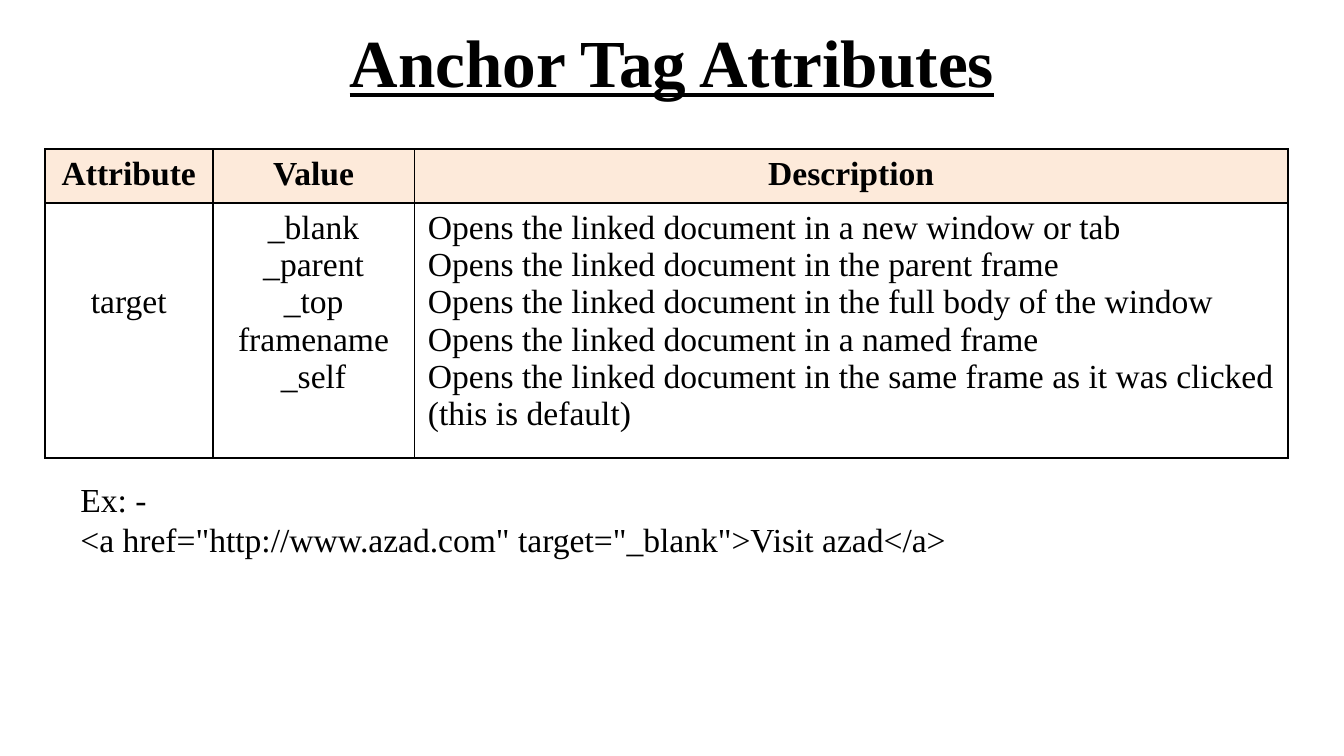
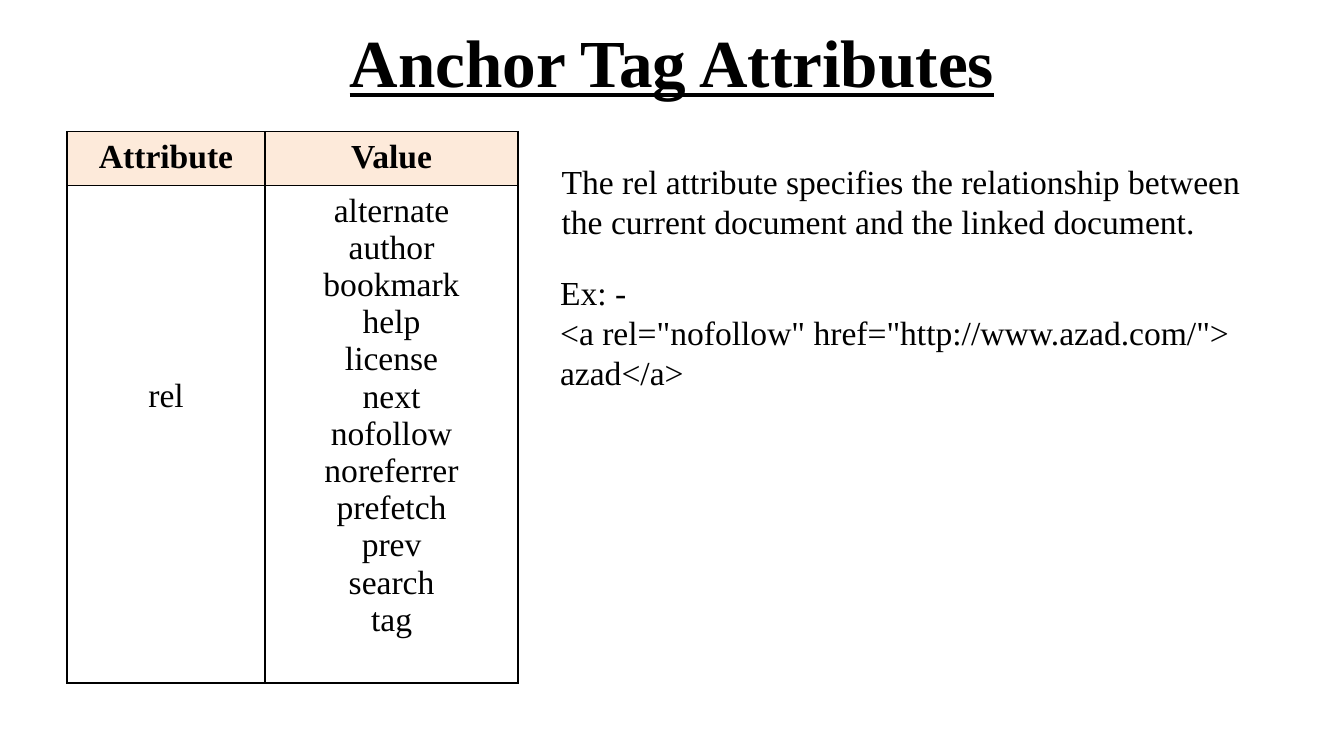
from lxml.etree import SubElement
from pptx import Presentation
from pptx.dml.color import RGBColor
from pptx.enum.text import MSO_ANCHOR as Anchor, PP_ALIGN as Align
from pptx.oxml.ns import qn
from pptx.util import Pt

FONT = "Times New Roman"
INK = "000000"
HEADER_FILL = "FDEADA"
BODY_SIZE = 18
TABLE_LINE = 19.9
CELL_MARGIN = 3.6


def color(value):
    return RGBColor.from_string(value)


def write(frame, text, size=BODY_SIZE, bold=False, underline=False,
          align=Align.LEFT, spacing=None):
    frame.word_wrap = True
    for index, line in enumerate(text.split("\n")):
        paragraph = frame.add_paragraph() if index else frame.paragraphs[0]
        paragraph.alignment = align
        if spacing:
            paragraph.line_spacing = Pt(spacing)
        run = paragraph.add_run()
        run.text = line
        font = run.font
        font.name, font.size = FONT, Pt(size)
        font.bold, font.underline = bold, underline
        font.color.rgb = color(INK)


def add_borders(cell):
    properties = cell._tc.get_or_add_tcPr()
    for side in ("a:lnL", "a:lnR", "a:lnT", "a:lnB"):
        line = SubElement(properties, qn(side), w=str(Pt(1)))
        SubElement(SubElement(line, qn("a:solidFill")), qn("a:srgbClr"), val=INK)


class Deck:
    """Holds the shared style and the slide being filled."""

    def __init__(self):
        self.presentation = Presentation()
        self.presentation.slide_width = Pt(720)
        self.presentation.slide_height = Pt(405)
        self.slide = None

    def start_slide(self, title):
        self.slide = self.presentation.slides.add_slide(
            self.presentation.slide_layouts[6])
        heading = self.text(title, 36, -1.4, 648, 67.5, size=36, bold=True,
                            underline=True, align=Align.CENTER)
        heading.vertical_anchor = Anchor.MIDDLE

    def text(self, content, left, top, width, height, **style):
        frame = self.slide.shapes.add_textbox(
            Pt(left), Pt(top), Pt(width), Pt(height)).text_frame
        write(frame, content, **style)
        return frame

    def passage(self, content, left, top, width):
        height = 7.2 + 21.9 * len(content.split("\n"))
        self.text(content, left, top, width, height, spacing=21.4)

    def table(self, headers, body, left, top, widths, lines, lines_above):
        heights = [2 * CELL_MARGIN + TABLE_LINE * count for count in (1, lines)]
        table = self.slide.shapes.add_table(
            2, len(headers), Pt(left), Pt(top), Pt(sum(widths)),
            Pt(sum(heights))).table
        table.horz_banding = False
        for column, width in zip(table.columns, widths):
            column.width = Pt(width)
        for row, height in zip(table.rows, heights):
            row.height = Pt(height)
        for column, (header, content) in enumerate(zip(headers, body)):
            header_cell, body_cell = table.cell(0, column), table.cell(1, column)
            for cell in (header_cell, body_cell):
                add_borders(cell)
            header_cell.fill.solid()
            header_cell.fill.fore_color.rgb = color(HEADER_FILL)
            body_cell.fill.background()
            write(header_cell.text_frame, header, bold=True, align=Align.CENTER)
            write(body_cell.text_frame, content,
                  align=Align.LEFT if header == "Description" else Align.CENTER)
        table.cell(1, 0).margin_top = Pt(CELL_MARGIN + TABLE_LINE * lines_above)


TITLE = "Anchor Tag Attributes"
TARGET_VALUES = "_blank\n_parent\n_top\nframename\n_self"
TARGET_DESCRIPTIONS = """Opens the linked document in a new window or tab
Opens the linked document in the parent frame
Opens the linked document in the full body of the window
Opens the linked document in a named frame
Opens the linked document in the same frame as it was clicked (this is default)"""
TARGET_EXAMPLE = """Ex: -
<a href="http://www.azad.com" target="_blank">Visit azad</a>"""
REL_VALUES = """alternate
author
bookmark
help
license
next
nofollow
noreferrer
prefetch
prev
search
tag"""
REL_MEANING = """The rel attribute specifies the relationship between
the current document and the linked document."""
REL_EXAMPLE = """Ex: -
<a rel="nofollow" href="http://www.azad.com/">
azad</a>"""


def main():
    deck = Deck()

    deck.start_slide(TITLE)
    deck.table(["Attribute", "Value", "Description"],
               ["target", TARGET_VALUES, TARGET_DESCRIPTIONS],
               24, 79.8, [90, 108, 468], lines=6, lines_above=2)
    deck.passage(TARGET_EXAMPLE, 36, 253.4, 483)

    deck.start_slide(TITLE)
    deck.table(["Attribute", "Value"], ["rel", REL_VALUES],
               36, 70.5, [106, 135.6], lines=12, lines_above=5)
    deck.passage(REL_EXAMPLE, 293, 142.6, 376.6)
    deck.passage(REL_MEANING, 293.8, 82.8, 396.7)

    deck.presentation.save("out.pptx")


if __name__ == "__main__":
    main()
